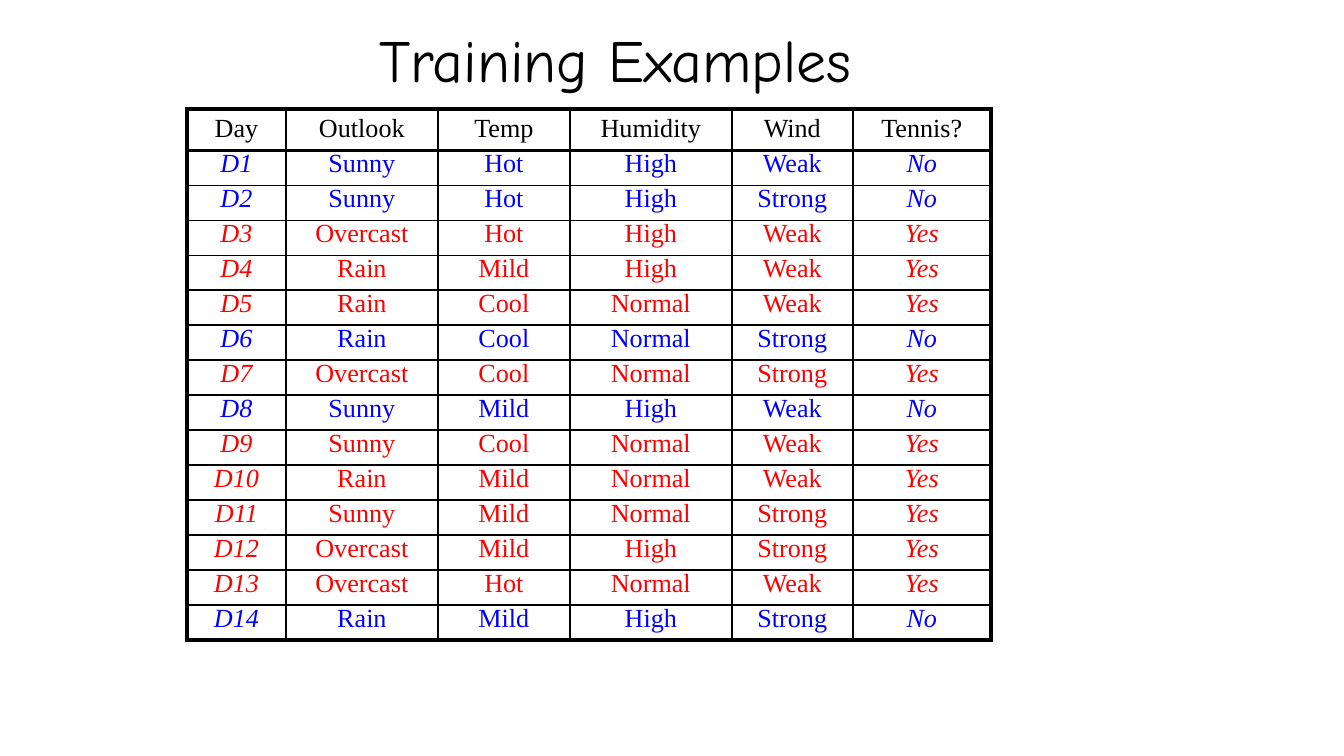
from dataclasses import dataclass

from lxml import etree
from pptx import Presentation
from pptx import util as u
from pptx.dml.color import RGBColor
from pptx.enum import text
from pptx.oxml import ns

SLIDE_WIDTH, SLIDE_HEIGHT = 1344, 756
SCALE = u.Inches(10) / SLIDE_WIDTH

TITLE_BOX = (-45, 17, 1321, 83)
TABLE_BOX = (187, 109, 804, 531)
COLUMN_WIDTHS = (99, 152, 132, 162, 121, 138)
HEADER_HEIGHT = 41

HEADER = ("Day", "Outlook", "Temp", "Humidity", "Wind", "Tennis?")
EXAMPLES = (
    ("Sunny", "Hot", "High", "Weak", "No"),
    ("Sunny", "Hot", "High", "Strong", "No"),
    ("Overcast", "Hot", "High", "Weak", "Yes"),
    ("Rain", "Mild", "High", "Weak", "Yes"),
    ("Rain", "Cool", "Normal", "Weak", "Yes"),
    ("Rain", "Cool", "Normal", "Strong", "No"),
    ("Overcast", "Cool", "Normal", "Strong", "Yes"),
    ("Sunny", "Mild", "High", "Weak", "No"),
    ("Sunny", "Cool", "Normal", "Weak", "Yes"),
    ("Rain", "Mild", "Normal", "Weak", "Yes"),
    ("Sunny", "Mild", "Normal", "Strong", "Yes"),
    ("Overcast", "Mild", "High", "Strong", "Yes"),
    ("Overcast", "Hot", "Normal", "Weak", "Yes"),
    ("Rain", "Mild", "High", "Strong", "No"),
)


@dataclass(frozen=True)
class Theme:
    title_font: str = "Comic Neue"
    table_font: str = "Times New Roman"
    title_size: int = 32
    table_size: int = 14
    ink: str = "000000"
    positive: str = "FF0000"
    negative: str = "0000FF"
    thin: float = 1
    thick: float = 2.25
    body_spacing: float = 0.8
    side_margin: int = 13
    header_margin: int = 5
    body_margin: int = 4


THEME = Theme()


def px(length):
    return u.Emu(round(length * SCALE))


def add_centred_run(paragraph, words, font, size, colour, italic=False):
    paragraph.alignment = text.PP_ALIGN.CENTER
    run = paragraph.add_run()
    run.text = words
    run.font.name = font
    run.font.size = u.Pt(size)
    run.font.italic = italic
    run.font.color.rgb = RGBColor.from_string(colour)


def set_borders(cell, widths):
    """Draw the cell's edges; widths are points for left, right, top, bottom."""
    properties = cell._tc.get_or_add_tcPr()
    for side, width in zip("LRTB", widths):
        line = etree.SubElement(properties, ns.qn(f"a:ln{side}"), w=str(u.Pt(width)))
        fill = etree.SubElement(line, ns.qn("a:solidFill"))
        etree.SubElement(fill, ns.qn("a:srgbClr"), val=THEME.ink)


def add_title(slide, box, words):
    frame = slide.shapes.add_textbox(*map(px, box)).text_frame
    frame.word_wrap = True
    frame.vertical_anchor = text.MSO_ANCHOR.MIDDLE
    add_centred_run(frame.paragraphs[0], words, THEME.title_font,
                    THEME.title_size, THEME.ink)


def add_examples_table(slide, box):
    rows = [HEADER] + [(f"D{day}", *values)
                       for day, values in enumerate(EXAMPLES, start=1)]
    last_row, last_column = len(rows) - 1, len(HEADER) - 1
    table = slide.shapes.add_table(len(rows), len(HEADER), *map(px, box)).table
    table.first_row = table.horz_banding = False
    for column, width in zip(table.columns, COLUMN_WIDTHS):
        column.width = px(width)
    body_height = (box[3] - HEADER_HEIGHT) / last_row
    row_colours = {"Yes": THEME.positive, "No": THEME.negative}

    for r, values in enumerate(rows):
        table.rows[r].height = px(body_height if r else HEADER_HEIGHT)
        margin = px(THEME.body_margin if r else THEME.header_margin)
        colour = row_colours.get(values[-1], THEME.ink)
        for c, words in enumerate(values):
            cell = table.cell(r, c)
            cell.margin_left = cell.margin_right = px(THEME.side_margin)
            cell.margin_top = cell.margin_bottom = margin
            heavy = (c == 0, c == last_column, r <= 1, r in (0, last_row))
            set_borders(cell, [THEME.thick if edge else THEME.thin for edge in heavy])
            cell.fill.background()
            paragraph = cell.text_frame.paragraphs[0]
            if r:
                paragraph.line_spacing = THEME.body_spacing
            add_centred_run(paragraph, words, THEME.table_font, THEME.table_size,
                            colour, italic=r > 0 and c in (0, last_column))


def main():
    presentation = Presentation()
    presentation.slide_width = px(SLIDE_WIDTH)
    presentation.slide_height = px(SLIDE_HEIGHT)
    slide = presentation.slides.add_slide(presentation.slide_layouts[6])
    add_title(slide, TITLE_BOX, "Training Examples")
    add_examples_table(slide, TABLE_BOX)
    presentation.save("out.pptx")


if __name__ == "__main__":
    main()
